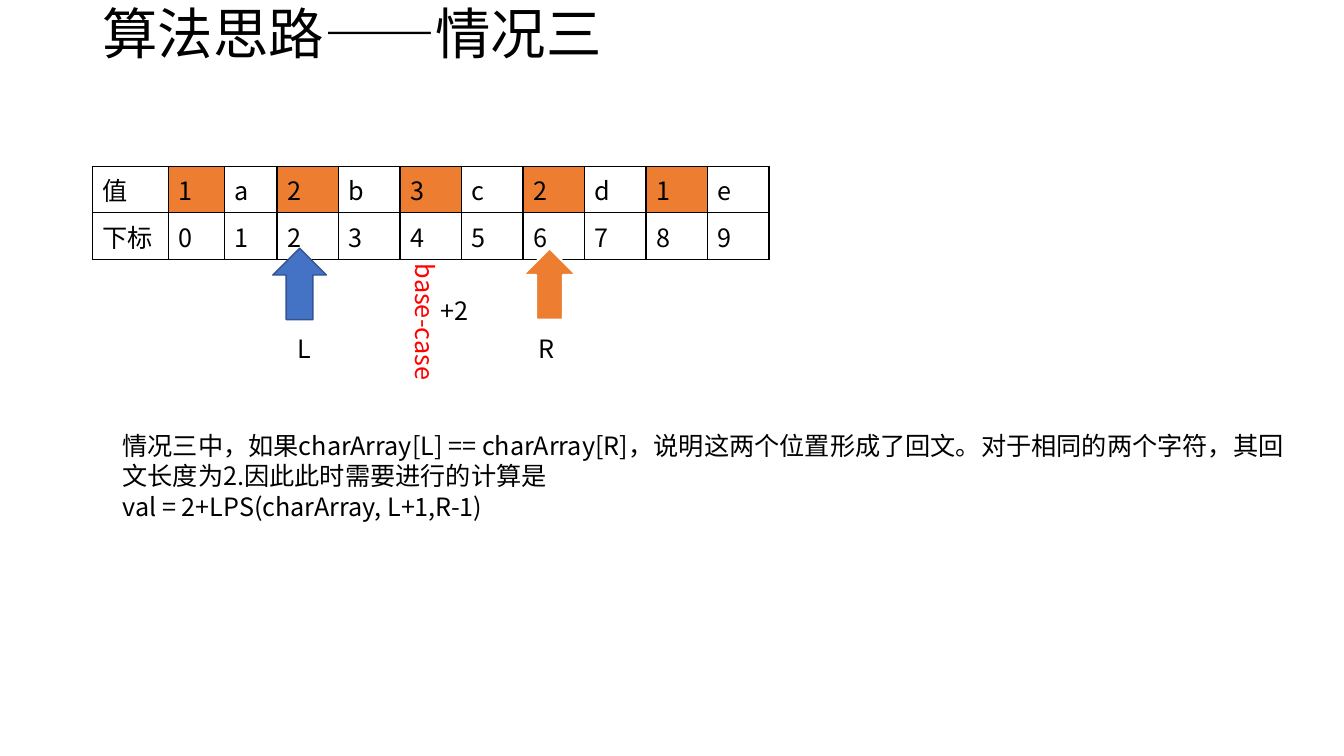
from lxml import etree
from pptx import Presentation
from pptx.dml.color import RGBColor
from pptx.enum.shapes import MSO_SHAPE
from pptx.enum.text import MSO_ANCHOR, MSO_AUTO_SIZE, PP_ALIGN
from pptx.oxml.ns import qn
from pptx.util import Cm, Pt

ARROW = MSO_SHAPE.RIGHT_ARROW
MIDDLE = MSO_ANCHOR.MIDDLE
LEFT = PP_ALIGN.LEFT
GROW = MSO_AUTO_SIZE.SHAPE_TO_FIT_TEXT
FIXED = MSO_AUTO_SIZE.NONE

FACE = "Noto Sans CJK SC"
BLACK, WHITE, RED = "000000", "FFFFFF", "FF0000"
BLUE, NAVY, ORANGE = "4472C4", "325491", "ED7D31"

VALUES = ["值", *"1a2b3c2d1e"]
INDEXES = ["下标", *"0123456789"]
MARKED = {1, 3, 5, 7, 9}
WIDTHS = [1.91, 1.42, 1.32] + [1.55] * 8
NOTE = [
    "情况三中，如果charArray[L] == charArray[R]，说明这两个位置形成了回文。"
    "对于相同的两个字符，其回文长度为2.因此此时需要进行的计算是",
    "val = 2+LPS(charArray, L+1,R-1)",
]


def color(code):
    """Turn a hex string into a colour."""
    return RGBColor.from_string(code)


def write(frame, lines, size=18, ink=BLACK):
    """Fill a text frame with one styled paragraph per line."""
    frame.text = "\n".join(lines)
    for para in frame.paragraphs:
        para.alignment = LEFT
        font = para.font
        font.size = Pt(size)
        font.color.rgb = color(ink)
        font.name = FACE
        for props in para._p.iter(qn("a:defRPr")):
            etree.SubElement(props, qn("a:ea"), typeface=FACE)


def label(shapes, box, lines, ink=BLACK, wrap=False):
    """Add a text box that grows with its text."""
    frame = shapes.add_textbox(*map(Cm, box)).text_frame
    frame.word_wrap = wrap
    frame.auto_size = GROW
    write(frame, lines, ink=ink)
    return frame


def head(slide, box, text):
    """Place the slide title."""
    title = slide.shapes.title
    title.left, title.top, title.width, title.height = map(Cm, box)
    frame = title.text_frame
    frame.auto_size = FIXED
    frame.vertical_anchor = MIDDLE
    write(frame, [text], 39.6)
    frame.paragraphs[0].line_spacing = 0.9


def border(cell):
    """Draw a thin black line on every side of a cell."""
    props = cell._tc.get_or_add_tcPr()
    for spot, side in enumerate(("lnL", "lnR", "lnT", "lnB")):
        line = etree.Element(qn(f"a:{side}"), w=str(Pt(1)))
        fill = etree.SubElement(line, qn("a:solidFill"))
        etree.SubElement(fill, qn("a:srgbClr"), val=BLACK)
        props.insert(spot, line)


def grid(slide, box):
    """Add the table of characters and their indexes."""
    rows = [VALUES, INDEXES]
    frame = slide.shapes.add_table(len(rows), len(WIDTHS), *map(Cm, box))
    table = frame.table
    table.first_row = table.horz_banding = False
    for column, width in zip(table.columns, WIDTHS):
        column.width = Cm(width)
    for r, row in enumerate(rows):
        for c, text in enumerate(row):
            cell = table.cell(r, c)
            write(cell.text_frame, [text])
            if r == 0 and c in MARKED:
                cell.fill.solid()
                cell.fill.fore_color.rgb = color(ORANGE)
            else:
                cell.fill.background()
            border(cell)


def pointer(slide, box, name, shift, fill, edge, weight):
    """Group an upward arrow with the name below it."""
    left, top, width, height = box
    shapes = slide.shapes.add_group_shape().shapes
    arrow = shapes.add_shape(ARROW, *map(Cm, box))
    arrow.rotation = 270
    arrow.shadow.inherit = False
    arrow.fill.solid()
    arrow.fill.fore_color.rgb = color(fill)
    arrow.line.color.rgb = color(edge)
    arrow.line.width = Pt(weight)
    label(shapes, (left + shift, top + 1.8, 0.85, 1.02), [name])


def base(slide, box):
    """Add the upright base-case mark and the gain beside it."""
    left, top, width, height = box
    frame = label(slide.shapes, box, ["base-case"], RED)
    frame._txBody.bodyPr.set("vert", "eaVert")
    label(slide.shapes, (left + 0.89, top + 0.91, 1.27, 1.02), ["+2"])


def main():
    """Build the slide and save it."""
    deck = Presentation()
    deck.slide_width, deck.slide_height = Cm(33.87), Cm(19.05)
    slide = deck.slides.add_slide(deck.slide_layouts[5])
    head(slide, (2.33, 0, 29.21, 1.83), "算法思路——情况三")
    grid(slide, (2.33, 4.19, 17.05, 2.06))
    pointer(slide, (6.65, 6.48, 1.8, 1.35), "L", 0.59, BLUE, NAVY, 1)
    pointer(slide, (12.95, 6.48, 1.8, 1.35), "R", 0.38, ORANGE, WHITE, 1.5)
    base(slide, (9.96, 6.4, 1.27, 3.07))
    label(slide.shapes, (2.84, 10.72, 30.02, 3.33), NOTE, wrap=True)
    deck.save("out.pptx")


if __name__ == "__main__":
    main()
